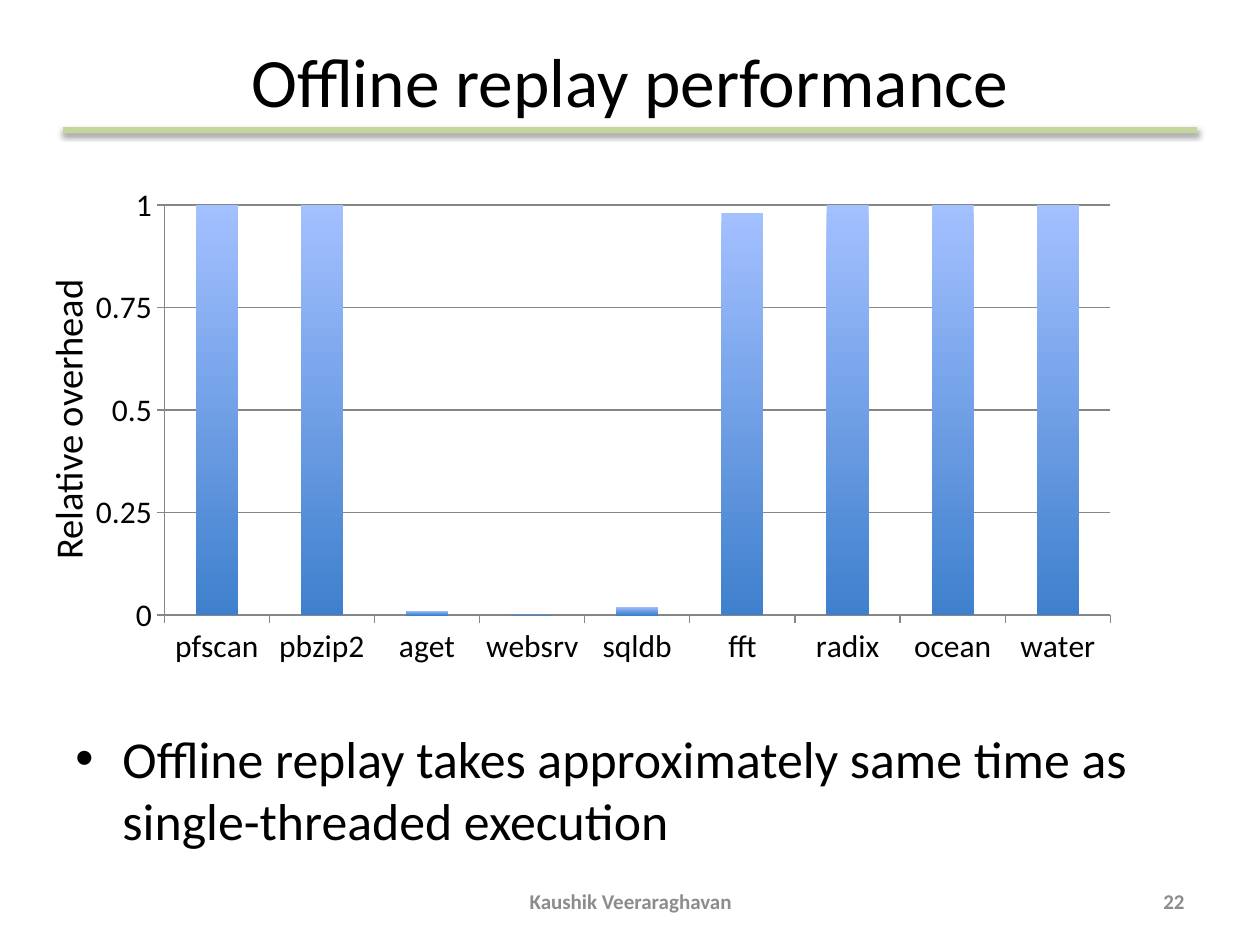
from lxml import etree
from pptx import Presentation
from pptx import util as u
from pptx.chart.data import CategoryChartData
from pptx.dml.color import RGBColor
from pptx.enum import chart as ch, shapes, text
from pptx.oxml import parse_xml
from pptx.oxml.ns import nsdecls, qn

Cm, Pt = u.Cm, u.Pt
COLORS = {"text": "000000", "footer": "8C8C8C", "rule": "C3D69B",
          "axis": "868686", "bar_top": "A3C0FF", "bar_bottom": "3F80CD"}
FONT = "Calibri"


def style(font, size, color="text", bold=False):
    font.name, font.size, font.bold = FONT, Pt(size), bold
    font.color.rgb = RGBColor.from_string(COLORS[color])


def write(sp, words, size, align, anchor, color="text", bold=False):
    """Fill a shape with one formatted paragraph and return it."""
    tf = sp.text_frame
    tf.text = words
    tf.word_wrap = True
    tf.auto_size = text.MSO_AUTO_SIZE.NONE
    tf.vertical_anchor = anchor
    p = tf.paragraphs[0]
    p.alignment = align
    style(p.runs[0].font, size, color, bold)
    return p


prs = Presentation()
prs.slide_width, prs.slide_height = Cm(25.4), Cm(19.05)
s = prs.slides.add_slide(prs.slide_layouts[5])
left, width = Cm(1.27), Cm(22.86)
AL, ANC = text.PP_ALIGN, text.MSO_ANCHOR

# Title and the rule below it
title = s.shapes.title
title.left, title.top, title.width, title.height = left, Cm(0.76), width, Cm(1.68)
write(title, "Offline replay performance", 39.6, AL.CENTER, ANC.MIDDLE)

rule = s.shapes.add_connector(shapes.MSO_CONNECTOR.STRAIGHT,
                              left, Cm(2.62), left + width, Cm(2.62))
rule.line.width = Pt(3.5)
rule.line.color.rgb = RGBColor.from_string(COLORS["rule"])
effects = etree.SubElement(rule._element.spPr, qn("a:effectLst"))
effects.append(parse_xml(
    f'<a:outerShdw {nsdecls("a")} blurRad="{Pt(3.1)}" dist="{Pt(1.6)}" dir="5400000" rotWithShape="0">'
    '<a:srgbClr val="000000"><a:alpha val="38000"/></a:srgbClr></a:outerShdw>'))

# Overhead chart
overhead = {"pfscan": 1, "pbzip2": 1.01, "aget": 0.01, "websrv": 0, "sqldb": 0.02,
            "fft": 0.98, "radix": 1, "ocean": 1, "water": 1.04}
data = CategoryChartData()
data.categories = list(overhead)
data.add_series("Series 1", list(overhead.values()))
chart = s.shapes.add_chart(ch.XL_CHART_TYPE.COLUMN_STACKED, Cm(1.5), Cm(3.56),
                           Cm(21.29), Cm(10.06), data).chart
chart.has_legend = chart.has_title = False
style(chart.font, 18)

plot = chart.plots[0]
plot.gap_width, plot.overlap, plot.vary_by_categories = 150, 100, False
fill = plot.series[0].format.fill
fill.gradient()
fill.gradient_angle = 270
for stop, name in zip(fill.gradient_stops, ("bar_top", "bar_bottom")):
    stop.color.rgb = RGBColor.from_string(COLORS[name])

values = chart.value_axis
values.minimum_scale, values.maximum_scale, values.major_unit = 0, 1, 0.25
values.has_major_gridlines = True
values.tick_labels.number_format = "General"
values.tick_labels.number_format_is_linked = False
for axis in (chart.category_axis, values):
    axis.major_tick_mark = ch.XL_TICK_MARK.OUTSIDE
    style(axis.tick_labels.font, 18)
for part in (chart.category_axis, values, values.major_gridlines):
    part.format.line.width = Pt(0.75)
    part.format.line.color.rgb = RGBColor.from_string(COLORS["axis"])

area = chart._chartSpace.chart.plotArea
for old in area.findall(qn("c:layout")):
    area.remove(old)
area.insert(0, parse_xml(
    f'<c:layout {nsdecls("c")}><c:manualLayout><c:layoutTarget val="inner"/>'
    '<c:xMode val="edge"/><c:yMode val="edge"/><c:x val="0.085"/><c:y val="0.057"/>'
    '<c:w val="0.896"/><c:h val="0.822"/></c:manualLayout></c:layout>'))

# Axis label
label = s.shapes.add_textbox(Cm(-1.75), Cm(7.82), Cm(6.22), Cm(1.19))
label.rotation = 270
write(label, "Relative overhead", 22, AL.LEFT, ANC.TOP)
label.text_frame.word_wrap = False

# Bullet
body = s.shapes.add_textbox(left, Cm(14.53), width, Cm(2.49))
p = write(body, "Offline replay takes approximately same time as single-threaded execution",
          29.6, AL.LEFT, ANC.TOP)
pPr = p._p.get_or_add_pPr()
pPr.set("marL", str(Cm(0.95)))
pPr.set("indent", str(-Cm(0.95)))
before = etree.SubElement(pPr, qn("a:spcBef"))
etree.SubElement(before, qn("a:spcPct"), val="20000")
etree.SubElement(pPr, qn("a:buFont"), typeface="Arial")
etree.SubElement(pPr, qn("a:buChar"), char="•")

# Footer
for x, w, words, align in ((8.69, 8.05, "Kaushik Veeraraghavan", AL.CENTER),
                           (18.21, 5.92, "22", AL.RIGHT)):
    sp = s.shapes.add_textbox(Cm(x), Cm(17.65), Cm(w), Cm(1.02))
    write(sp, words, 12, align, ANC.MIDDLE, "footer", True)

prs.save("out.pptx")
